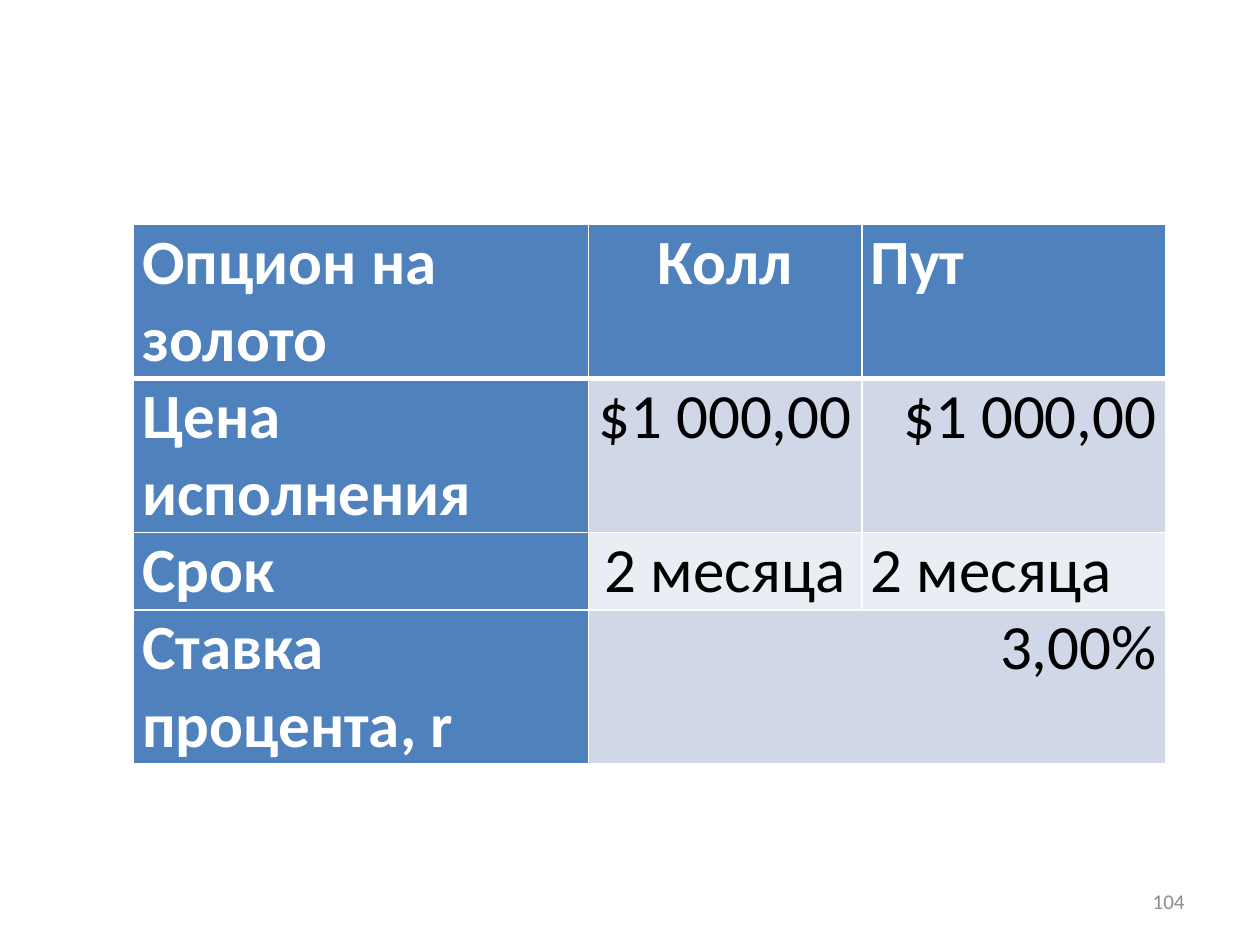
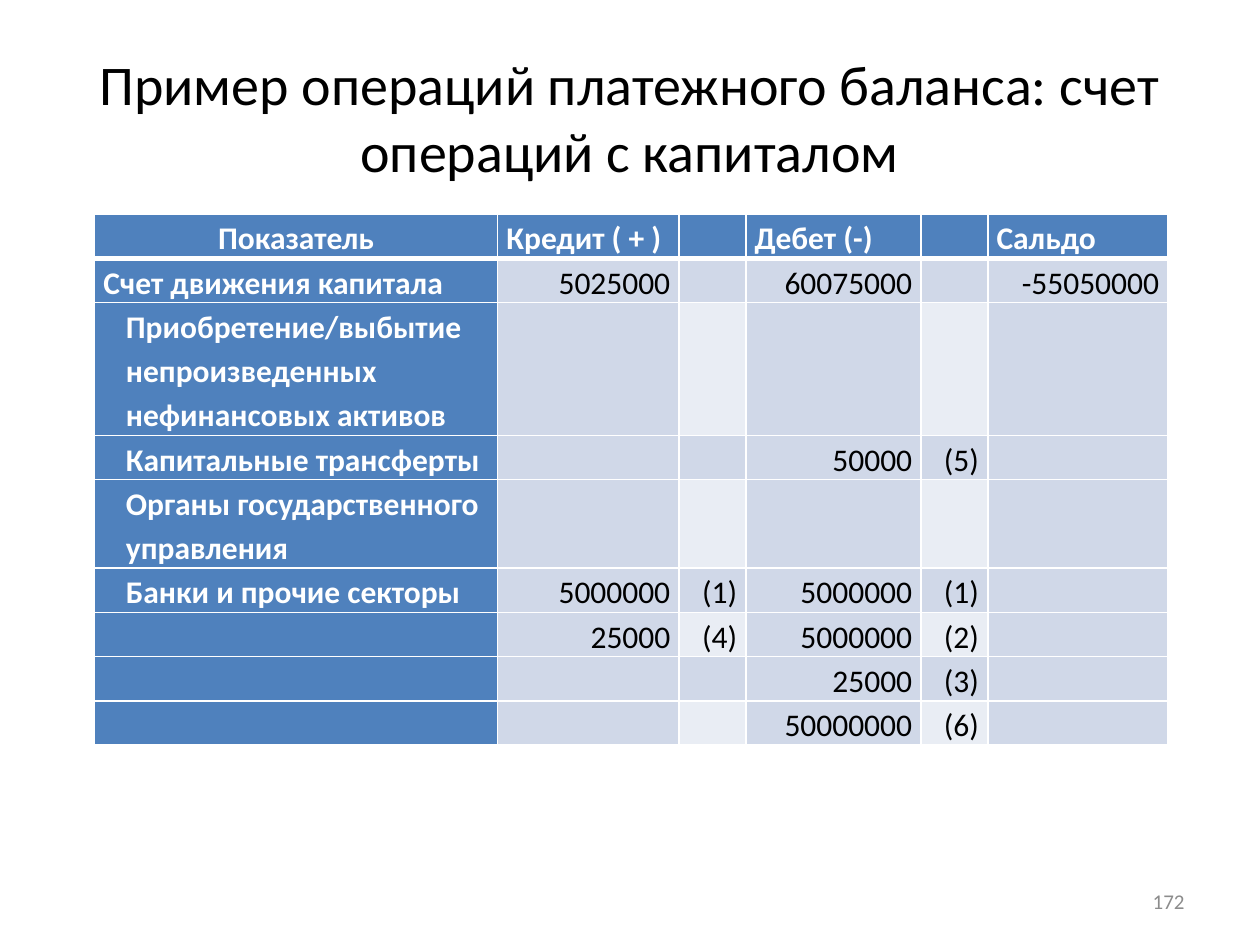
import pptx
import pptx.util
import pptx.dml.color
import pptx.enum.text
import pptx.oxml.ns
from lxml import etree

Inches, Pt = pptx.util.Inches, pptx.util.Pt
FONT = "Calibri"
COLORS = {"head": "4F81BD", "band": "D0D8E8", "light": "E9EDF4",
          "white": "FFFFFF", "text": "000000", "number": "8C8C8C"}
ALIGN = {"l": pptx.enum.text.PP_ALIGN.LEFT, "c": pptx.enum.text.PP_ALIGN.CENTER,
         "r": pptx.enum.text.PP_ALIGN.RIGHT}

# Content: "aligns" has one letter per column for each row
GOLD_OPTION = {
    "rows": [
        ["Опцион на золото", "Колл", "Пут"],
        ["Цена исполнения", "$1 000,00", "$1 000,00"],
        ["Срок", "2 месяца", "2 месяца"],
        ["Ставка процента, r", "3,00%", ""],
    ],
    "aligns": ["lcl", "lcr", "lcl", "lrr"],
    "left": 1.06, "top": 1.78,
    "widths": [3.61, 2.17, 2.41],
    "lines": [2, 2, 1, 2], "line_height": 0.61,
    "size": 36, "spacing": None,
    "light_columns": (1, 2), "indented_rows": (),
    "merges": [((3, 1), (3, 2))],
}
CAPITAL_TITLE = "Пример операций платежного баланса: счет операций с капиталом"
CAPITAL_ACCOUNT = {
    "rows": [
        ["Показатель", "Кредит ( + )", "", "Дебет (-)", "", "Сальдо"],
        ["Счет движения капитала", "5025000", "", "60075000", "", "-55050000"],
        ["Приобретение/выбытие непроизведенных нефинансовых активов", "", "", "", "", ""],
        ["Капитальные трансферты", "", "", "50000", "(5)", ""],
        ["Органы государственного управления", "", "", "", "", ""],
        ["Банки и прочие секторы", "5000000", "(1)", "5000000", "(1)", ""],
        ["", "25000", "(4)", "5000000", "(2)", ""],
        ["", "", "", "25000", "(3)", ""],
        ["", "", "", "50000000", "(6)", ""],
    ],
    "aligns": ["clllll"] + ["lrrrrr"] * 8,
    "left": 0.75, "top": 1.7,
    "widths": [3.2, 1.44, 0.53, 1.39, 0.53, 1.43],
    "lines": [1, 1, 3, 1, 2, 1, 1, 1, 1], "line_height": 0.35,
    "size": 18, "spacing": 1.15,
    "light_columns": (2, 4), "indented_rows": range(2, 6),
    "merges": [],
}


def rgb(name):
    return pptx.dml.color.RGBColor.from_string(COLORS[name])


def style(para, size, color, align, bold=False):
    para.alignment = ALIGN[align]
    para.font.name = FONT
    para.font.size = Pt(size)
    para.font.bold = bold
    para.font.color.rgb = rgb(color)


def add_borders(cell, row):
    """White rules, with a thick one under the header row."""
    properties = cell._tc.get_or_add_tcPr()
    widths = {"L": 1, "R": 1, "T": 3 if row == 1 else 1, "B": 3 if row == 0 else 1}
    for side, width in widths.items():
        line = etree.SubElement(properties, pptx.oxml.ns.qn(f"a:ln{side}"),
                                w=str(int(Pt(width))))
        fill = etree.SubElement(line, pptx.oxml.ns.qn("a:solidFill"))
        etree.SubElement(fill, pptx.oxml.ns.qn("a:srgbClr"), val=COLORS["white"])


def fill_name(data, row, column):
    if row == 0 or column == 0:
        return "head"
    return "light" if row % 2 == 0 and column in data["light_columns"] else "band"


def add_data_table(page, data):
    heights = [count * data["line_height"] for count in data["lines"]]
    table = page.shapes.add_table(
        len(heights), len(data["widths"]), Inches(data["left"]), Inches(data["top"]),
        Inches(sum(data["widths"])), Inches(sum(heights))).table
    for column, width in zip(table.columns, data["widths"]):
        column.width = Inches(width)
    for row, height in zip(table.rows, heights):
        row.height = Inches(height)

    for r, texts in enumerate(data["rows"]):
        for c, text in enumerate(texts):
            cell = table.cell(r, c)
            cell.margin_left = cell.margin_right = Inches(0.07)
            cell.margin_top = cell.margin_bottom = 0
            add_borders(cell, r)
            fill = fill_name(data, r, c)
            cell.fill.solid()
            cell.fill.fore_color.rgb = rgb(fill)
            para = cell.text_frame.paragraphs[0]
            if text:
                para.text = text
                para.line_spacing = data["spacing"]
            if c == 0 and r in data["indented_rows"]:
                para._p.get_or_add_pPr().set("marL", str(int(Inches(0.18))))
            is_head = fill == "head"
            style(para, data["size"], "white" if is_head else "text",
                  data["aligns"][r][c], is_head)
    for first, last in data["merges"]:
        table.cell(*first).merge(table.cell(*last))


def add_title(page, text):
    box = page.shapes.title
    box.left, box.top, box.width, box.height = map(Inches, (0.5, 0.3, 9, 1.25))
    box.text_frame.text = text
    style(box.text_frame.paragraphs[0], 32, "text", "c")


def add_page_number(page, number):
    box = page.shapes.add_textbox(*map(Inches, (7.17, 6.95, 2.33, 0.4)))
    frame = box.text_frame
    frame.word_wrap = True
    frame.vertical_anchor = pptx.enum.text.MSO_ANCHOR.MIDDLE
    frame.text = str(number)
    style(frame.paragraphs[0], 12, "number", "r")


def main():
    deck = pptx.Presentation()
    deck.slide_width, deck.slide_height = Inches(10), Inches(7.5)
    title_only, blank = deck.slide_layouts[5], deck.slide_layouts[6]

    # Gold option terms
    page = deck.slides.add_slide(blank)
    add_data_table(page, GOLD_OPTION)
    add_page_number(page, 104)

    # Capital account example
    page = deck.slides.add_slide(title_only)
    add_title(page, CAPITAL_TITLE)
    add_data_table(page, CAPITAL_ACCOUNT)
    add_page_number(page, 172)

    deck.save("out.pptx")


if __name__ == "__main__":
    main()
